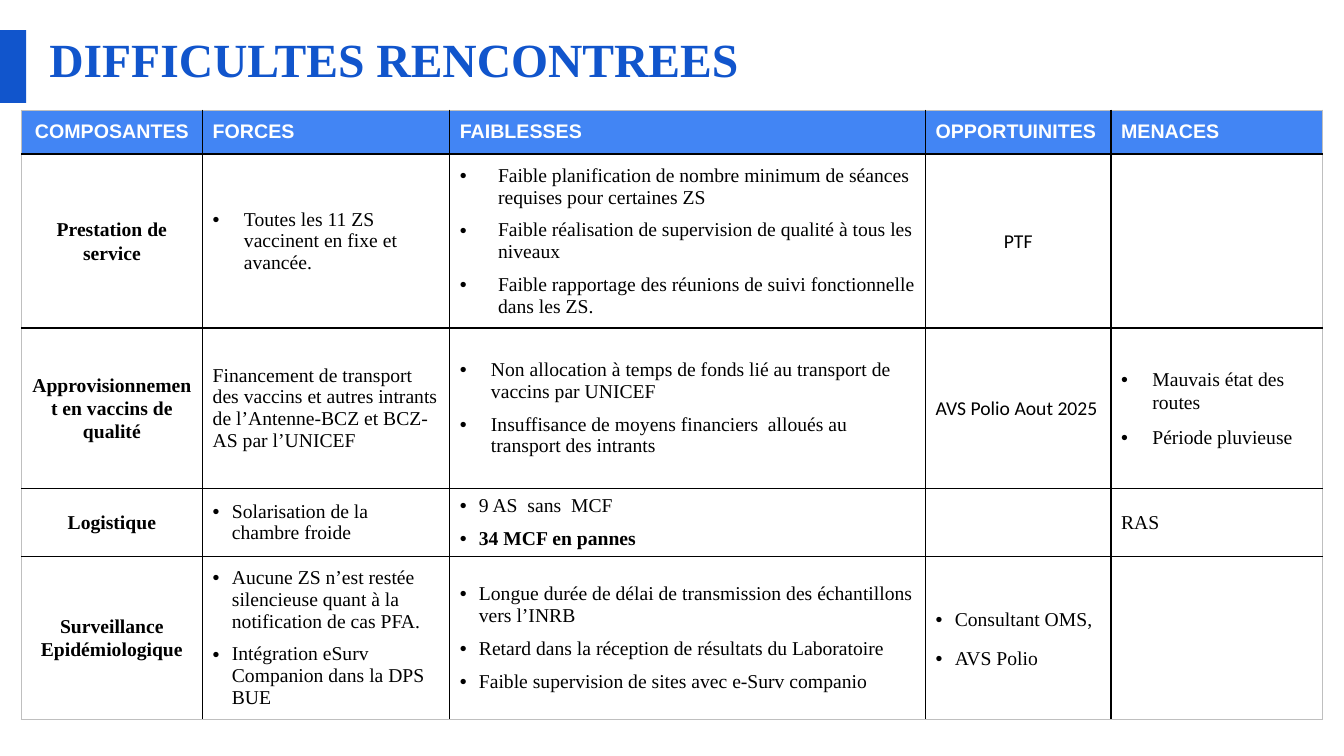
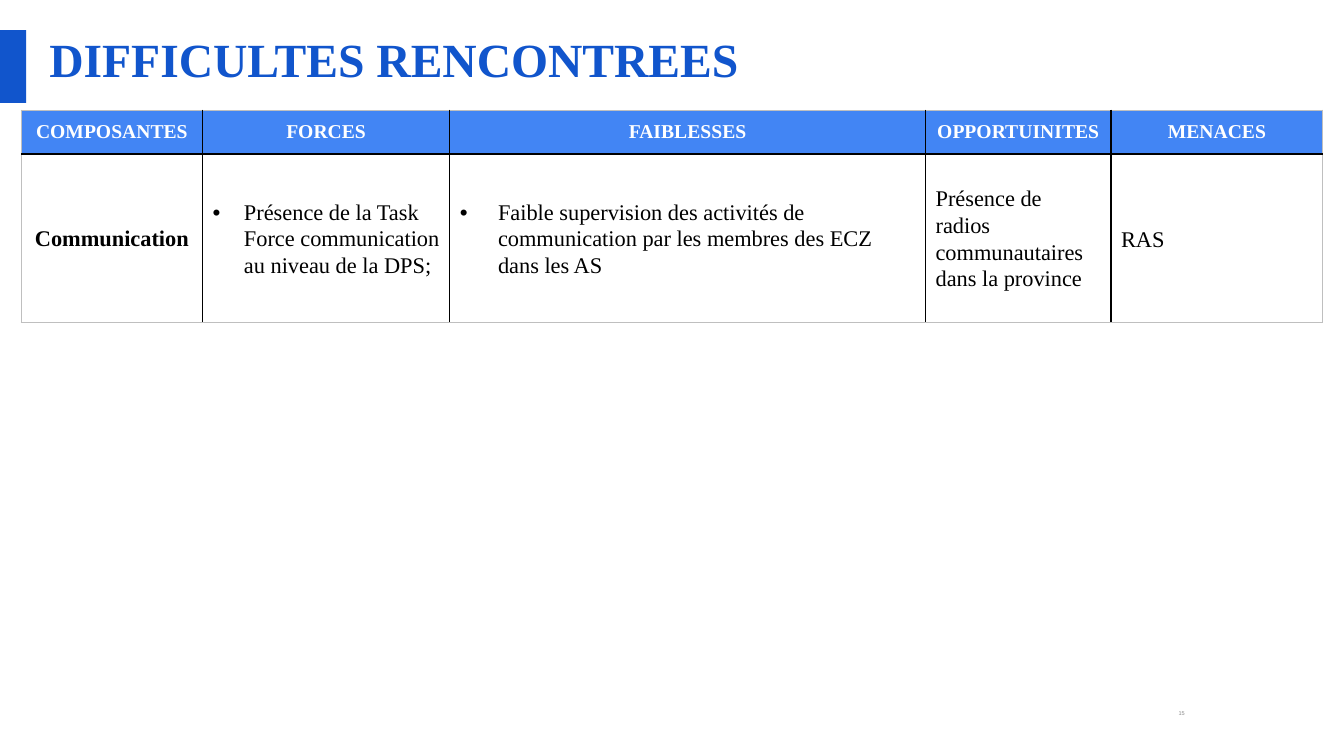
from dataclasses import dataclass
from lxml import etree
from pptx import Presentation
from pptx.dml.color import RGBColor
from pptx.enum.shapes import MSO_SHAPE
from pptx.enum.text import MSO_ANCHOR, PP_ALIGN
from pptx.oxml.ns import qn
from pptx.util import Inches, Pt

RECTANGLE = MSO_SHAPE.RECTANGLE
TOP, MIDDLE = MSO_ANCHOR.TOP, MSO_ANCHOR.MIDDLE
LEFT, CENTER = PP_ALIGN.LEFT, PP_ALIGN.CENTER


@dataclass(frozen=True)
class Theme:
    accent: str = "1155CC"
    header: str = "4285F4"
    paper: str = "FFFFFF"
    ink: str = "000000"
    frame: str = "BFBFBF"
    muted: str = "8C8C8C"
    serif: str = "Times New Roman"
    sans: str = "Arial"
    plain: str = "Calibri"
    title_size: int = 34
    table_size: int = 14
    large_size: int = 16
    number_size: int = 4
    inner_line: float = 1
    header_line: float = 1.5
    frame_line: float = 0.5


THEME = Theme()


@dataclass
class Entry:
    lines: tuple = ()
    indent: float = 0
    spacing: float = 1
    after: float = 8
    align: int = LEFT
    font: str = THEME.serif
    bold_lines: tuple = ()


TITLE = "DIFFICULTES RENCONTREES"
HEADINGS = ("COMPOSANTES", "FORCES", "FAIBLESSES", "OPPORTUINITES", "MENACES")
COLUMN_WIDTHS = (1.8, 2.45, 4.72, 1.84, 2.1)
HEADER_HEIGHT = 0.44
EMPTY = Entry()

DIFFICULTIES = [
    (1.67, "Prestation de service", [
        Entry(("Toutes les 11 ZS vaccinent en fixe et avancée.",), 0.31),
        Entry((
            "Faible planification de nombre minimum de séances requises pour certaines ZS",
            "Faible réalisation de supervision de qualité à tous les niveaux",
            "Faible rapportage des réunions de suivi fonctionnelle dans les ZS.",
        ), 0.38),
        Entry(("PTF",), spacing=1.07, align=CENTER, font=THEME.plain),
        EMPTY,
    ]),
    (1.59, "Approvisionnement en vaccins de qualité", [
        Entry(("Financement de transport des vaccins et autres intrants de "
               "l’Antenne-BCZ et BCZ-AS par l’UNICEF",)),
        Entry((
            "Non allocation à temps de fonds lié au transport de vaccins par UNICEF",
            "Insuffisance de moyens financiers  alloués au transport des intrants",
        ), 0.31),
        Entry(("AVS Polio Aout 2025",), spacing=1.07, font=THEME.plain),
        Entry(("Mauvais état des routes", "Période pluvieuse"), 0.31, 1.07),
    ]),
    (0.66, "Logistique", [
        Entry(("Solarisation de la chambre froide",), 0.19),
        Entry(("9 AS  sans  MCF", "34 MCF en pannes"), 0.19, bold_lines=(1,)),
        EMPTY,
        Entry(("RAS",), spacing=1.07),
    ]),
    (1.56, "Surveillance Epidémiologique", [
        Entry((
            "Aucune ZS n’est restée silencieuse quant à la notification de cas PFA.",
            "Intégration eSurv Companion dans la DPS BUE",
        ), 0.19),
        Entry((
            "Longue durée de délai de transmission des échantillons vers l’INRB",
            "Retard dans la réception de résultats du Laboratoire",
            "Faible supervision de sites avec e-Surv companio",
        ), 0.19),
        Entry(("Consultant OMS,", "AVS Polio"), 0.19, 1.15, 10),
        EMPTY,
    ]),
]

COMMUNICATION = [
    (1.67, "Communication", [
        Entry(("Présence de la Task Force communication au niveau de la DPS;",), 0.31, 1.07),
        Entry(("Faible supervision des activités de communication par les "
               "membres des ECZ dans les AS",), 0.38, 1.07),
        Entry(("Présence de radios communautaires dans la province",), spacing=1.07),
        Entry(("RAS",), spacing=1.15, after=10),
    ]),
]


class Deck:
    def __init__(self, theme):
        self.theme = theme
        self.presentation = Presentation()
        self.presentation.slide_width = Inches(13.33)
        self.presentation.slide_height = Inches(7.5)
        self.slide = None

    def add_slide(self, title, number):
        theme = self.theme
        self.slide = self.presentation.slides.add_slide(self.presentation.slide_layouts[6])
        self.add_text(number, (11.33, 7, 0.78, 0.17), theme.sans, theme.number_size,
                      theme.muted, align=CENTER, anchor=MIDDLE, margins=(0.13, 0.07),
                      spacing=0.8)
        self.add_band(0, 0.3, 0.26, 0.72)
        self.add_text(title, (0.49, 0.3, 12.33, 0.72), theme.serif, theme.title_size,
                      theme.accent, bold=True)

    def add_band(self, left, top, width, height):
        shape = self.slide.shapes.add_shape(
            RECTANGLE, Inches(left), Inches(top), Inches(width), Inches(height))
        shape.shadow.inherit = False
        shape.fill.solid()
        shape.fill.fore_color.rgb = RGBColor.from_string(self.theme.accent)
        shape.line.fill.background()

    def add_text(self, text, box, font, size, color, bold=False, align=LEFT,
                 anchor=TOP, margins=(0, 0), spacing=1):
        text_frame = self.slide.shapes.add_textbox(*map(Inches, box)).text_frame
        text_frame.word_wrap = True
        text_frame.vertical_anchor = anchor
        text_frame.margin_left = text_frame.margin_right = Inches(margins[0])
        text_frame.margin_top = text_frame.margin_bottom = Inches(margins[1])
        paragraph = text_frame.paragraphs[0]
        paragraph.text = text
        paragraph.alignment = align
        paragraph.line_spacing = spacing
        self.style(paragraph, font, size, color, bold)

    def add_table(self, rows, body_size, heading_font, heading_align):
        theme = self.theme
        heights = [HEADER_HEIGHT] + [height for height, _, _ in rows]
        table = self.slide.shapes.add_table(
            len(heights), len(COLUMN_WIDTHS), Inches(0.21), Inches(1.09),
            Inches(sum(COLUMN_WIDTHS)), Inches(sum(heights))).table
        table.horz_banding = False
        for column, width in zip(table.columns, COLUMN_WIDTHS):
            column.width = Inches(width)
        for row, height in zip(table.rows, heights):
            row.height = Inches(height)
        for index, heading in enumerate(HEADINGS):
            align = heading_align if index else CENTER
            entry = Entry((heading,), after=0, align=align, font=heading_font, bold_lines=(0,))
            self.fill_cell(table, 0, index, entry, theme.table_size, theme.paper, theme.header)
        for row_index, (_, component, entries) in enumerate(rows, 1):
            label = Entry((component,), spacing=1.07, align=CENTER, bold_lines=(0,))
            for index, entry in enumerate([label] + entries):
                self.fill_cell(table, row_index, index, entry, body_size, theme.ink, theme.paper)

    def fill_cell(self, table, row, column, entry, size, color, fill):
        cell = table.cell(row, column)
        cell.vertical_anchor = MIDDLE
        self.add_borders(cell, row, column, len(table.rows) - 1, len(table.columns) - 1)
        cell.fill.solid()
        cell.fill.fore_color.rgb = RGBColor.from_string(fill)
        cell.text_frame.text = "\n".join(entry.lines)
        if not entry.lines:
            return
        for index, paragraph in enumerate(cell.text_frame.paragraphs):
            if entry.indent:
                self.add_bullet(paragraph, entry.indent)
            paragraph.alignment = entry.align
            paragraph.line_spacing = entry.spacing
            paragraph.space_after = Pt(entry.after)
            self.style(paragraph, entry.font, size, color, index in entry.bold_lines)

    def add_borders(self, cell, row, column, last_row, last_column):
        theme = self.theme
        outer = (theme.frame, theme.frame_line)
        inner = (theme.ink, theme.inner_line)
        rule = (theme.ink, theme.header_line)
        borders = {
            "a:lnL": outer if column == 0 else inner,
            "a:lnR": outer if column == last_column else inner,
            "a:lnT": outer if row == 0 else rule if row == 1 else inner,
            "a:lnB": rule if row == 0 else outer if row == last_row else inner,
        }
        properties = cell._tc.get_or_add_tcPr()
        for tag, (color, width) in borders.items():
            line = etree.SubElement(properties, qn(tag), w=str(Pt(width)))
            solid = etree.SubElement(line, qn("a:solidFill"))
            etree.SubElement(solid, qn("a:srgbClr"), val=color)

    def add_bullet(self, paragraph, indent):
        properties = paragraph._p.get_or_add_pPr()
        properties.set("marL", str(Inches(indent)))
        properties.set("indent", str(-Inches(indent)))
        bullet_color = etree.SubElement(properties, qn("a:buClr"))
        etree.SubElement(bullet_color, qn("a:srgbClr"), val=self.theme.ink)
        etree.SubElement(properties, qn("a:buFont"), typeface=self.theme.sans)
        etree.SubElement(properties, qn("a:buChar"), char="•")

    def style(self, paragraph, font, size, color, bold):
        for run in paragraph.runs:
            run.font.name = font
            run.font.size = Pt(size)
            run.font.bold = bold
            run.font.color.rgb = RGBColor.from_string(color)


def main():
    deck = Deck(THEME)
    deck.add_slide(TITLE, "14")
    deck.add_table(DIFFICULTIES, THEME.table_size, THEME.sans, LEFT)
    deck.add_slide(TITLE, "15")
    deck.add_table(COMMUNICATION, THEME.large_size, THEME.serif, CENTER)
    deck.presentation.save("out.pptx")


if __name__ == "__main__":
    main()
